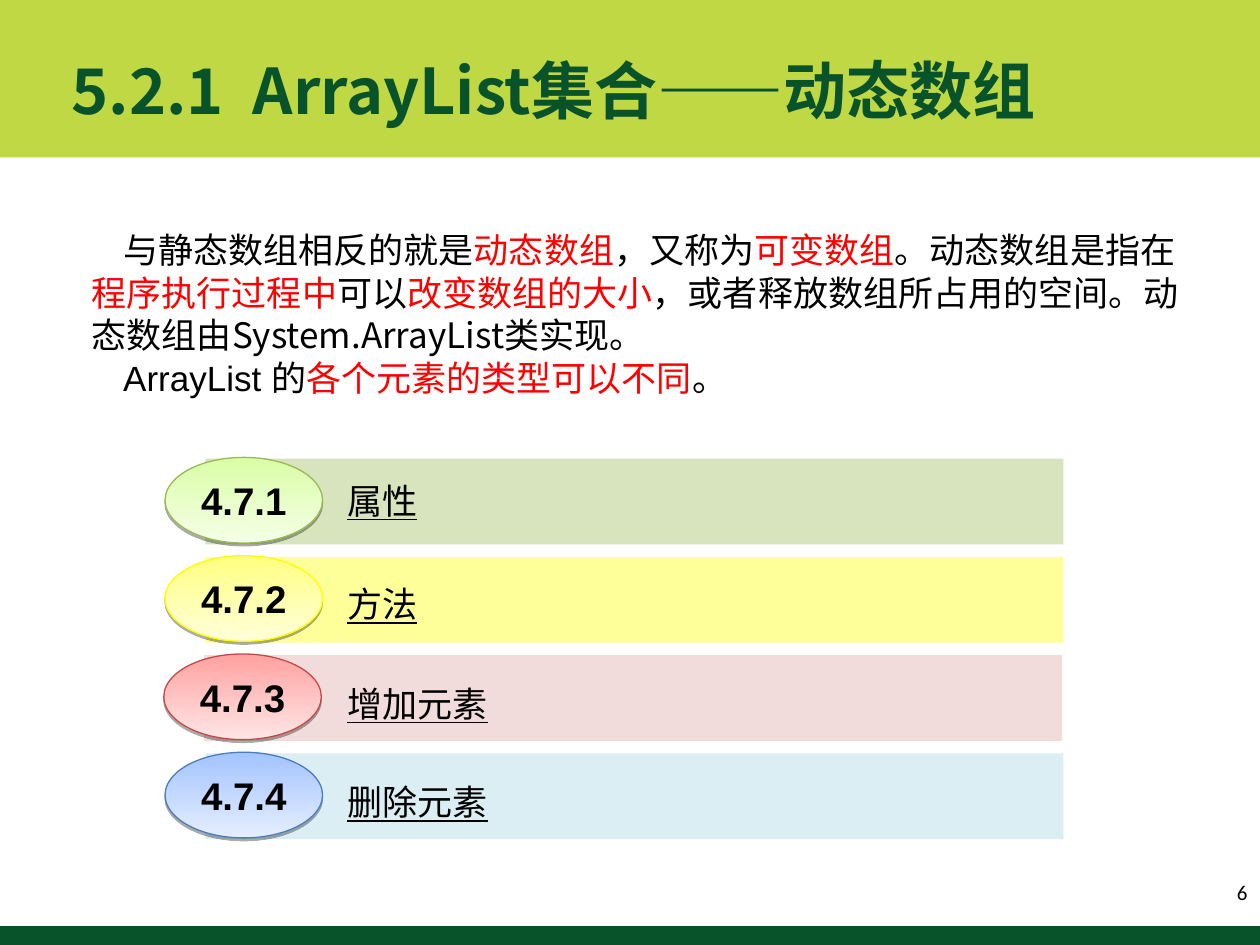
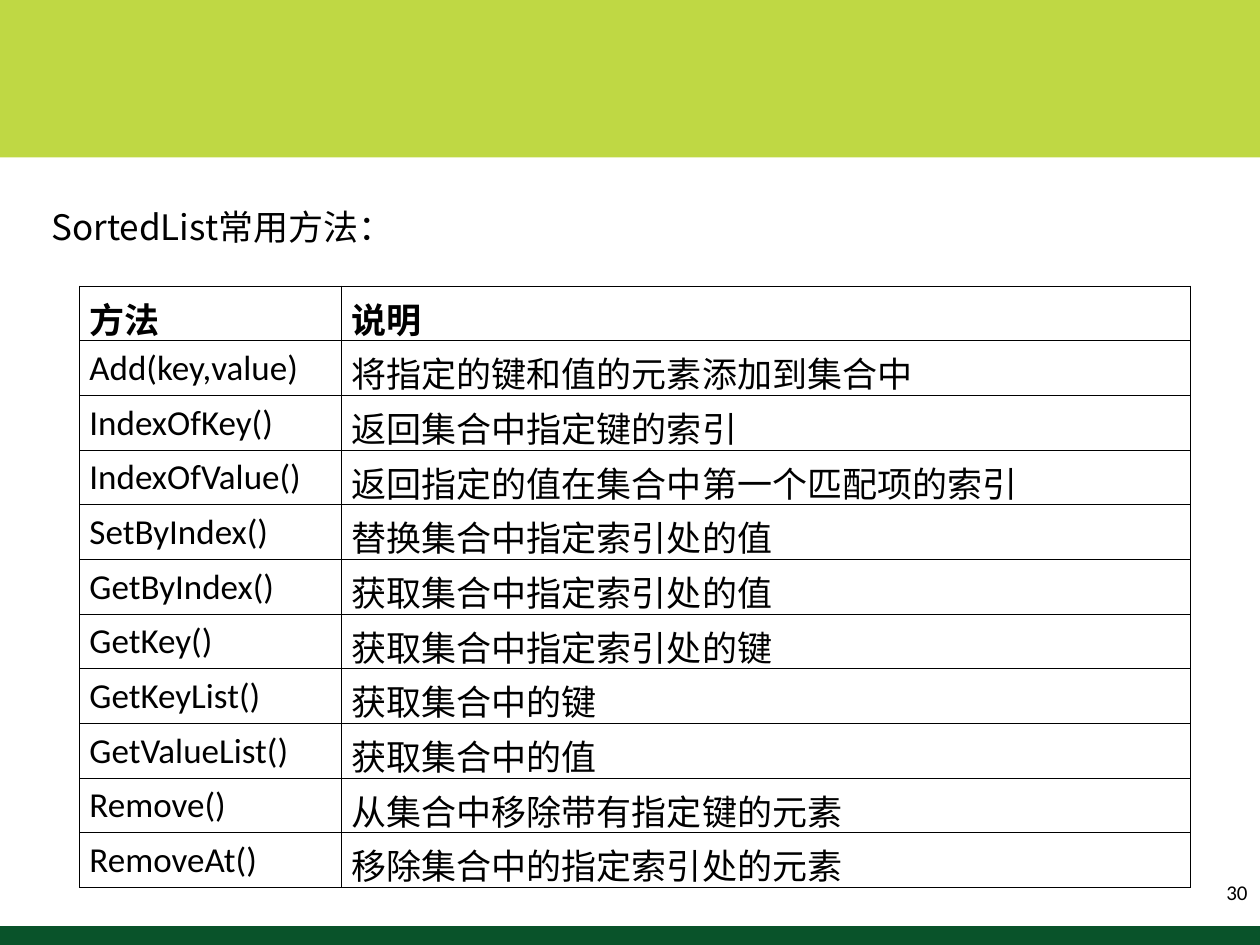
"""Builds two slides on the ArrayList and SortedList collections."""
from lxml.etree import SubElement
from pptx import Presentation
from pptx.dml.color import RGBColor
from pptx.enum.shapes import MSO_SHAPE
from pptx.enum.text import MSO_ANCHOR, PP_ALIGN
from pptx.oxml.ns import qn
from pptx.util import Inches, Pt

COLORS = {"lime": "BFD844", "green": "09532A", "black": "000000", "red": "FF0000"}
CJK = "Noto Sans CJK SC"

TITLE = "5.2.1  ArrayList集合——动态数组"
INTRO = [
    [("与静态数组相反的就是", "black", CJK), ("动态数组", "red", CJK),
     ("，又称为", "black", CJK), ("可变数组", "red", CJK),
     ("。动态数组是指在", "black", CJK), ("程序执行过程中", "red", CJK),
     ("可以", "black", CJK), ("改变数组的大小", "red", CJK),
     ("，或者释放数组所占用的空间。动态数组由System.ArrayList类实现。", "black", CJK)],
    [("ArrayList 的", "black", "Arial"), ("各个元素的类型可以不同", "red", "Arial"),
     ("。", "black", CJK)],
]
# number, label, label top, left, bar, gradient top, gradient bottom, outline
TOPICS = [
    ("4.7.1", "属性", 3.73, 1.31, "D7E4BD", "DAFDA7", "F5FFE6", "98B954"),
    ("4.7.2", "方法", 4.55, 1.31, "FFFF99", "FFFF80", "FFFFDA", "FFFF00"),
    ("4.7.3", "增加元素", 5.34, 1.3, "F2DCDB", "FFA2A1", "FFE5E5", "BE4B48"),
    ("4.7.4", "删除元素", 6.12, 1.31, "DBEEF4", "A3C4FF", "E5EEFF", "4A7EBB"),
]
TOPIC_TOP, TOPIC_PITCH = 3.63, 0.78

CAPTION = "SortedList常用方法："
METHODS = [
    ("方法", "说明"),
    ("Add(key,value)", "将指定的键和值的元素添加到集合中"),
    ("IndexOfKey()", "返回集合中指定键的索引"),
    ("IndexOfValue()", "返回指定的值在集合中第一个匹配项的索引"),
    ("SetByIndex()", "替换集合中指定索引处的值"),
    ("GetByIndex()", "获取集合中指定索引处的值"),
    ("GetKey()", "获取集合中指定索引处的键"),
    ("GetKeyList()", "获取集合中的键"),
    ("GetValueList()", "获取集合中的值"),
    ("Remove()", "从集合中移除带有指定键的元素"),
    ("RemoveAt()", "移除集合中的指定索引处的元素"),
]
COLUMNS, ROW_HEIGHT = (2.08, 6.74), 0.43


def rgb(value):
    return RGBColor.from_string(COLORS.get(value, value))


def style(font, size, name=CJK, color="black", bold=False):
    font.size, font.name, font.bold = Pt(size), name, bold
    font.color.rgb = rgb(color)


def add_run(p, text, size, name=CJK, color="black", bold=False):
    r = p.add_run()
    r.text = text
    style(r.font, size, name, color, bold)
    if name != "Calibri":
        SubElement(r.font._element, qn("a:ea"), typeface=CJK)
    return r


def add_box(s, left, top, width, height, anchor=MSO_ANCHOR.TOP):
    tf = s.shapes.add_textbox(*map(Inches, (left, top, width, height))).text_frame
    tf.word_wrap = True
    tf.vertical_anchor = anchor
    return tf


def add_body(s, left, top, width, height):
    tf = add_box(s, left, top, width, height)
    tf.margin_top = Inches(0.07)
    tf.paragraphs[0].line_spacing = Pt(24.3)
    return tf


def add_filled(shapes, kind, left, top, width, height, color):
    sp = shapes.add_shape(kind, *map(Inches, (left, top, width, height)))
    sp.shadow.inherit = False
    sp.fill.solid()
    sp.fill.fore_color.rgb = rgb(color)
    sp.line.fill.background()
    return sp


def add_slide(prs, number):
    s = prs.slides.add_slide(prs.slide_layouts[6])
    add_filled(s.shapes, MSO_SHAPE.RECTANGLE, 0, 0, 10, 1.25, "lime")
    add_filled(s.shapes, MSO_SHAPE.RECTANGLE, 0, 7.35, 10, 0.15, "green")
    p = add_box(s, 7.67, 6.88, 2.33, 0.4, MSO_ANCHOR.MIDDLE).paragraphs[0]
    p.alignment = PP_ALIGN.RIGHT
    add_run(p, str(number), 12, "Calibri")
    return s


def add_shadow(sp):
    effects = sp._element.spPr.find(qn("a:effectLst"))
    shadow = SubElement(effects, qn("a:outerShdw"), blurRad="0", dist=str(Pt(1.6)),
                        dir="5400000", rotWithShape="0")
    color = SubElement(shadow, qn("a:srgbClr"), val=COLORS["black"])
    SubElement(color, qn("a:alpha"), val="33000")


def add_topic(s, top, number, label, label_top, left, bar, light, pale, outline):
    group = s.shapes.add_group_shape()
    add_filled(group.shapes, MSO_SHAPE.RECTANGLE, left + 0.32, top + 0.01, 6.81, 0.68, bar)
    badge = add_filled(group.shapes, MSO_SHAPE.OVAL, left, top, 1.25, 0.68, light)
    badge.fill.gradient()
    badge.fill.gradient_angle = 270
    for stop, color, position in zip(badge.fill.gradient_stops, (light, pale), (0, 1)):
        stop.color.rgb = rgb(color)
        stop.position = position
    badge.line.color.rgb = rgb(outline)
    badge.line.width = Pt(0.75)
    add_shadow(badge)
    tf = badge.text_frame
    tf.vertical_anchor = MSO_ANCHOR.MIDDLE
    p = tf.paragraphs[0]
    p.alignment = PP_ALIGN.CENTER
    add_run(p, number, 22, "Arial", bold=True)
    p = add_body(s, 2.66, label_top, 3.44, 0.44).paragraphs[0]
    add_run(p, label, 20).font.underline = True


def set_borders(cell):
    tcPr = cell._tc.get_or_add_tcPr()
    for i, side in enumerate(("a:lnL", "a:lnR", "a:lnT", "a:lnB")):
        ln = tcPr.makeelement(qn(side), {"w": str(Pt(0.45))})
        SubElement(SubElement(ln, qn("a:solidFill")), qn("a:srgbClr"), val=COLORS["black"])
        tcPr.insert(i, ln)


def add_methods(s):
    frame = s.shapes.add_table(len(METHODS), len(COLUMNS), Inches(0.63), Inches(2.27),
                               Inches(sum(COLUMNS)), Inches(ROW_HEIGHT * len(METHODS)))
    table = frame.table
    for column, width in zip(table.columns, COLUMNS):
        column.width = Inches(width)
    for i, texts in enumerate(METHODS):
        table.rows[i].height = Inches(ROW_HEIGHT)
        for j, text in enumerate(texts):
            cell = table.cell(i, j)
            cell.fill.background()
            cell.vertical_anchor = MSO_ANCHOR.MIDDLE
            cell.margin_left = cell.margin_right = Inches(0.08)
            p = cell.text_frame.paragraphs[0]
            p.alignment = PP_ALIGN.JUSTIFY
            add_run(p, text, 20, "Calibri", bold=i == 0)
            set_borders(cell)


def build_array_list(prs):
    s = add_slide(prs, 6)
    p = add_box(s, 0.47, 0.23, 8.15, 0.95, MSO_ANCHOR.MIDDLE).paragraphs[0]
    add_run(p, TITLE, 36, color="green", bold=True)
    tf = add_body(s, 0.63, 1.74, 8.83, 1.44)
    for i, runs in enumerate(INTRO):
        p = tf.add_paragraph() if i else tf.paragraphs[0]
        p.line_spacing = Pt(24.3)
        p._p.get_or_add_pPr().set("indent", str(Inches(0.25)))
        for text, color, name in runs:
            add_run(p, text, 20, name, color)
    for i, topic in enumerate(TOPICS):
        add_topic(s, TOPIC_TOP + i * TOPIC_PITCH, *topic)


def build_sorted_list(prs):
    s = add_slide(prs, 30)
    p = add_body(s, 0, 1.56, 9.3, 0.44).paragraphs[0]
    p._p.get_or_add_pPr().set("indent", str(Inches(0.31)))
    add_run(p, CAPTION, 20)
    add_methods(s)


def main():
    prs = Presentation()
    prs.slide_width, prs.slide_height = Inches(10), Inches(7.5)
    build_array_list(prs)
    build_sorted_list(prs)
    prs.save("out.pptx")


if __name__ == "__main__":
    main()
